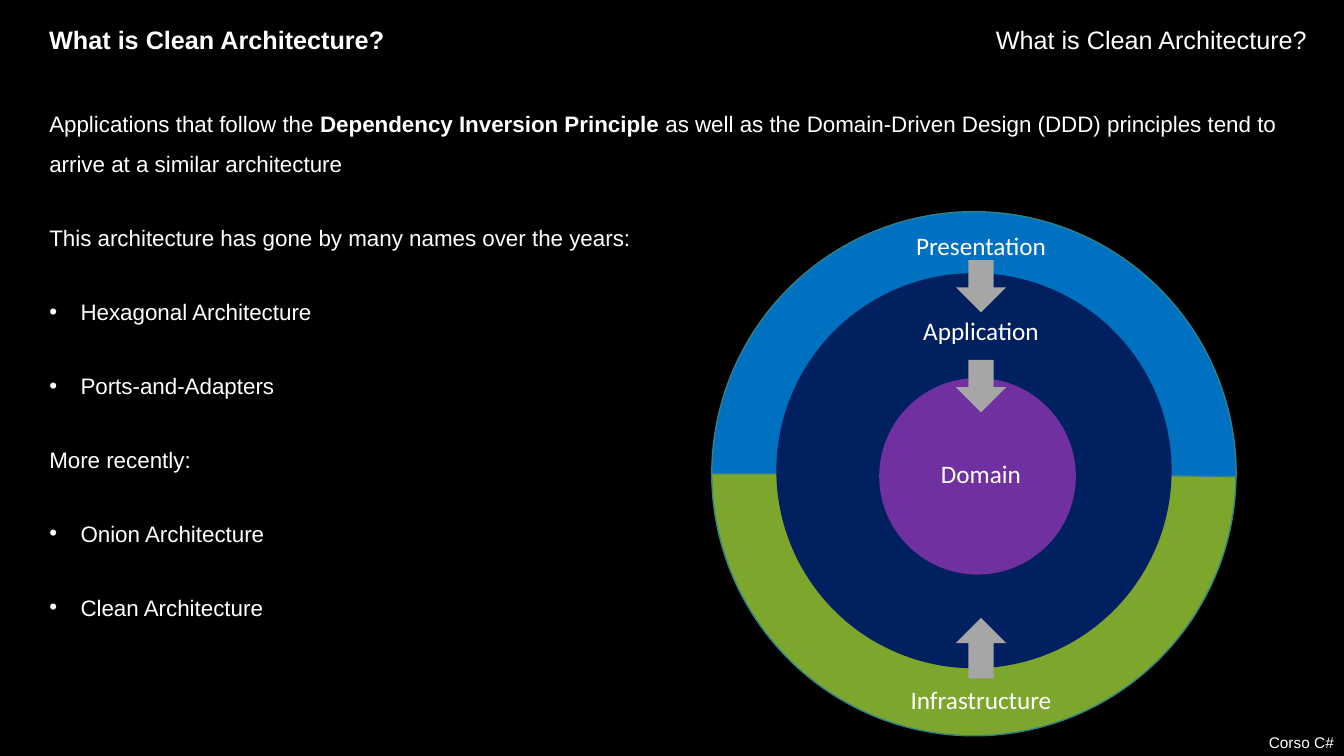
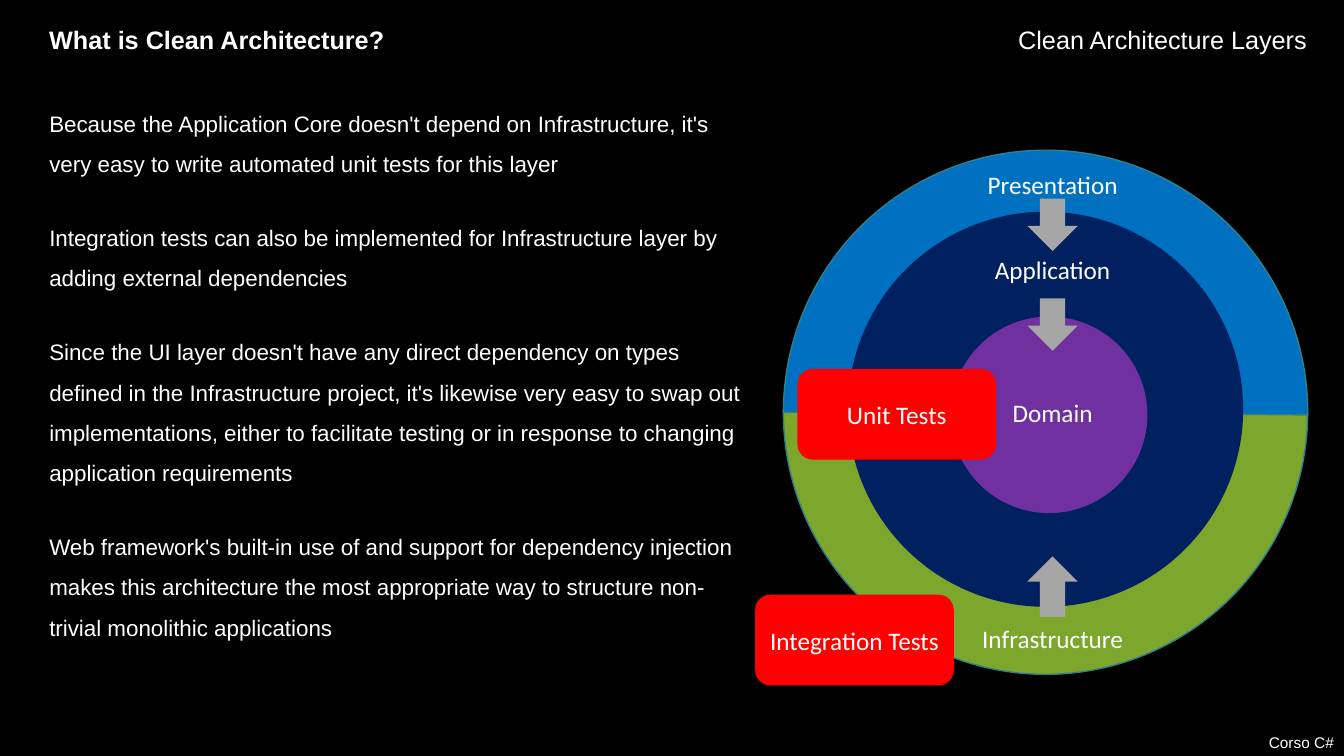
from dataclasses import dataclass

from lxml import etree
from pptx import Presentation
from pptx import util as u
from pptx.dml.color import RGBColor
from pptx.enum import shapes, text
from pptx.oxml import ns


@dataclass(frozen=True)
class Theme:
    background: str = "000000"
    ink: str = "FFFFFF"
    presentation: str = "0070C0"
    infrastructure: str = "7DA62C"
    application: str = "002060"
    domain: str = "7030A0"
    ring_line: str = "30818C"
    arrow: str = "A6A6A6"
    tests: str = "FF0000"
    font: str = "Arial"
    diagram_font: str = "Calibri"
    title_size: int = 18
    body_size: int = 16
    footer_size: int = 11


THEME = Theme()
PX = u.Inches(1) // 100  # 100 px to the inch
WIDTH, HEIGHT = 1333, 750
SHAPE = shapes.MSO_SHAPE
ALIGN = text.PP_ALIGN

# Content: a body paragraph is (bulleted, [(words, bold), ...])
CHAPTER = "What is Clean Architecture?"
FOOTER = "Corso C#"


def plain(words):
    return False, [(words, False)]


def bullet(words):
    return True, [(words, False)]


SLIDES = [
    {
        "topic": "What is Clean Architecture?",
        "body_width": 1252,
        "body": [
            (False, [
                ("Applications that follow the ", False),
                ("Dependency Inversion Principle ", True),
                ("as well as the Domain-Driven Design (DDD) principles tend to "
                 "arrive at a similar architecture", False),
            ]),
            plain("This architecture has gone by many names over the years:"),
            bullet("Hexagonal Architecture"),
            bullet("Ports-and-Adapters"),
            plain("More recently:"),
            bullet("Onion Architecture"),
            bullet("Clean Architecture"),
        ],
        "diagram_at": (706, 210),
        "tests": [],
    },
    {
        "topic": "Clean Architecture Layers",
        "body_width": 709,
        "body": [
            plain("Because the Application Core doesn't depend on Infrastructure, "
                  "it's very easy to write automated unit tests for this layer"),
            plain("Integration tests can also be implemented for Infrastructure "
                  "layer by adding external dependencies"),
            plain("Since the UI layer doesn't have any direct dependency on types "
                  "defined in the Infrastructure project, it's likewise very easy "
                  "to swap out implementations, either to facilitate testing or in "
                  "response to changing application requirements"),
            plain("Web framework's built-in use of and support for dependency "
                  "injection makes this architecture the most appropriate way to "
                  "structure non-trivial monolithic applications"),
        ],
        "diagram_at": (777, 149),
        "tests": [("Unit Tests", 791, 366), ("Integration Tests", 749, 590)],
    },
]

# Diagram parts, measured from the top left of the outer ring
RING = 520
AXIS = 267  # centre line of labels and arrows
HALVES = [(THEME.infrastructure, 0), (THEME.presentation, 180)]
DISCS = [(64, 61, 392, THEME.application), (166, 165, 195, THEME.domain)]
LABELS = [("Presentation", 14), ("Application", 98),
          ("Domain", 240), ("Infrastructure", 464)]
ARROWS = [(SHAPE.DOWN_ARROW, 48, 52), (SHAPE.DOWN_ARROW, 147, 52),
          (SHAPE.UP_ARROW, 403, 60)]
LABEL_W, LABEL_H, ARROW_W = 190, 40, 50
TEST_W, TEST_H = 197, 90


def box(*lengths):
    return [n * PX for n in lengths]


def style(paragraph, size, font=THEME.font, bold=False, align=ALIGN.LEFT):
    paragraph.alignment = align
    paragraph.font.size = u.Pt(size)
    paragraph.font.name = font
    paragraph.font.bold = bold
    paragraph.font.color.rgb = RGBColor.from_string(THEME.ink)


def add_frame(slide, *at):
    frame = slide.shapes.add_textbox(*box(*at)).text_frame
    frame.word_wrap = True
    return frame


def add_line(slide, words, at, size, **look):
    paragraph = add_frame(slide, *at).paragraphs[0]
    paragraph.add_run().text = words
    style(paragraph, size, **look)


def add_filled(slide, kind, at, fill, line=None):
    shape = slide.shapes.add_shape(kind, *box(*at))
    shape.shadow.inherit = False
    shape.fill.solid()
    shape.fill.fore_color.rgb = RGBColor.from_string(fill)
    if line:
        shape.line.color.rgb = RGBColor.from_string(line)
        shape.line.width = u.Pt(1)
    else:
        shape.line.fill.background()
    return shape


def add_bullet(paragraph):
    properties = paragraph._p.get_or_add_pPr()
    indent = 31 * PX
    properties.set("marL", str(indent))
    properties.set("indent", str(-indent))
    etree.SubElement(properties, ns.qn("a:buFont"), typeface=THEME.font)
    etree.SubElement(properties, ns.qn("a:buChar"), char="•")


def add_body(slide, body, width):
    frame = add_frame(slide, 39, 91, width, 540)
    for i, (bulleted, pieces) in enumerate(body):
        paragraph = frame.add_paragraph() if i else frame.paragraphs[0]
        if bulleted:
            add_bullet(paragraph)
        paragraph.line_spacing = 1.5
        paragraph.space_before = u.Pt(24)
        for words, bold in pieces:
            run = paragraph.add_run()
            run.text = words
            if bold:
                run.font.bold = True
        style(paragraph, THEME.body_size)


def add_diagram(slide, left, top):
    # Outer ring in two halves
    for fill, turn in HALVES:
        half = add_filled(slide, SHAPE.PIE, (left, top, RING, RING),
                          fill, THEME.ring_line)
        half.adjustments[0] = 0
        half.adjustments[1] = 108.35
        half.rotation = turn
    # Inner layers
    for x, y, size, fill in DISCS:
        add_filled(slide, SHAPE.OVAL, (left + x, top + y, size, size), fill)
    # Layer names and dependency arrows
    for words, y in LABELS:
        at = (left + AXIS - LABEL_W // 2, top + y, LABEL_W, LABEL_H)
        add_line(slide, words, at, THEME.title_size,
                 font=THEME.diagram_font, align=ALIGN.CENTER)
    for kind, y, height in ARROWS:
        at = (left + AXIS - ARROW_W // 2, top + y, ARROW_W, height)
        add_filled(slide, kind, at, THEME.arrow)


def add_test(slide, words, left, top):
    test = add_filled(slide, SHAPE.ROUNDED_RECTANGLE,
                      (left, top, TEST_W, TEST_H), THEME.tests)
    test.text_frame.vertical_anchor = text.MSO_ANCHOR.MIDDLE
    paragraph = test.text_frame.paragraphs[0]
    paragraph.add_run().text = words
    style(paragraph, THEME.title_size, THEME.diagram_font, align=ALIGN.CENTER)


def add_page(deck, topic, body_width, body, diagram_at, tests):
    slide = deck.slides.add_slide(deck.slide_layouts[6])
    slide.background.fill.solid()
    slide.background.fill.fore_color.rgb = RGBColor.from_string(THEME.background)
    # Header and footer
    add_line(slide, CHAPTER, (39, 19, 400, 40), THEME.title_size, bold=True)
    add_line(slide, topic, (516, 19, 790, 40), THEME.title_size, align=ALIGN.RIGHT)
    add_line(slide, FOOTER, (0, 722, WIDTH, 28), THEME.footer_size,
             align=ALIGN.RIGHT)
    # Main part
    add_body(slide, body, body_width)
    add_diagram(slide, *diagram_at)
    for test in tests:
        add_test(slide, *test)


def main():
    deck = Presentation()
    deck.slide_width, deck.slide_height = box(WIDTH, HEIGHT)
    for page in SLIDES:
        add_page(deck, **page)
    deck.save("out.pptx")


if __name__ == "__main__":
    main()
